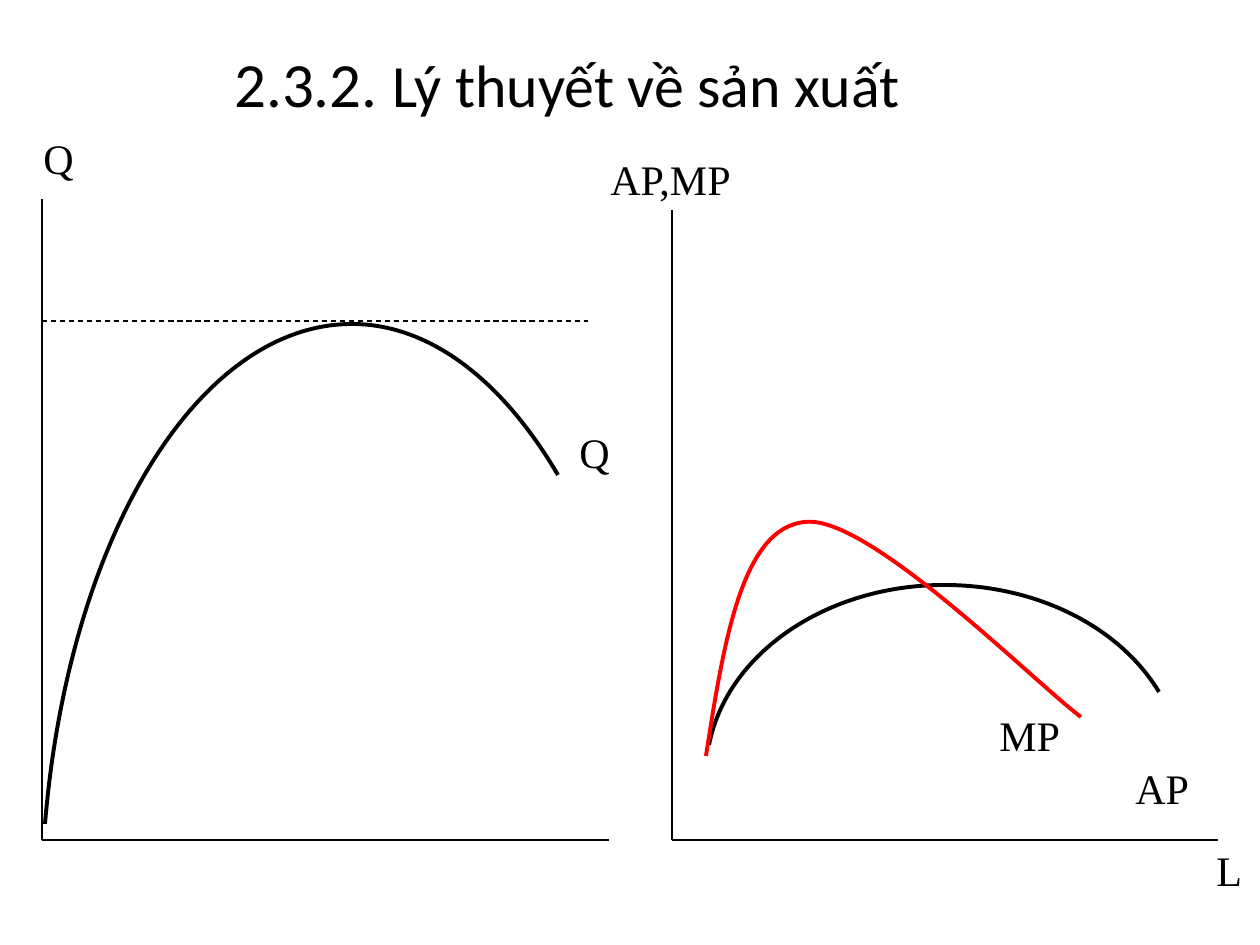
from pptx import Presentation
from pptx.dml.color import RGBColor
from pptx.enum.dml import MSO_LINE_DASH_STYLE as Dash
from pptx.enum.shapes import MSO_CONNECTOR as Connector
from pptx.enum.text import MSO_ANCHOR as Anchor, PP_ALIGN as Align
from pptx.oxml.ns import qn
from pptx.util import Emu, Pt
from lxml.etree import SubElement

SCALE = 914400 / 126


def px(length):
    return Emu(round(length * SCALE))


def color(hex_value):
    return RGBColor.from_string(hex_value)


prs = Presentation()
prs.slide_width, prs.slide_height = px(1260), px(945)
slide = prs.slides.add_slide(prs.slide_layouts[5])

# Title
title = slide.shapes.title
title.left, title.top, title.width, title.height = px(0), px(38), px(1134), px(88)
title.text_frame.vertical_anchor = Anchor.MIDDLE
heading = title.text_frame.paragraphs[0]
heading.alignment = Align.CENTER
heading.font.name = "Calibri"
heading.font.color.rgb = color("000000")
for text, size in (("2.3.2. ", 36), ("Lý thuyết về sản xuất", 34.2)):
    run = heading.add_run()
    run.text = text
    run.font.size = Pt(size)

# The loose labels lie on the slide, the two charts are groups
page = slide.shapes
output_chart = page.add_group_shape().shapes
product_chart = page.add_group_shape().shapes

# Axes of both charts and the dashed line at maximum output
for chart, x1, y1, x2, y2, dash in (
    (output_chart, 42, 199, 42, 840, None),
    (output_chart, 42, 840, 609, 840, None),
    (output_chart, 42, 321, 588, 321, Dash.DASH),
    (product_chart, 672, 210, 672, 840, None),
    (product_chart, 672, 840, 1218, 840, None),
):
    axis = chart.add_connector(Connector.STRAIGHT, px(x1), px(y1), px(x2), px(y2))
    axis.line.color.rgb = color("000000")
    axis.line.width = Pt(0.75)
    axis.line.dash_style = dash
    SubElement(axis._element.spPr, qn("a:effectLst"))

# Curves: a start point, then two control points and an end point per segment;
# the centre of an arc belongs to its frame but is not drawn
output_curve = [(45, 824), (69, 535), (199, 324), (352, 324),
                (428, 324), (501, 378), (558, 475)]
average_curve = [(709, 745), (727, 653), (827, 585), (944, 585),
                 (1036, 585), (1119, 626), (1159, 692)]
marginal_curve = [(706, 756), (724, 641), (742, 528), (805, 522),
                  (868, 514), (1036, 684), (1081, 717)]
for chart, knots, centre, ink in (
    (output_chart, output_curve, (352, 913), "000000"),
    (product_chart, average_curve, (944, 774), "000000"),
    (product_chart, marginal_curve, None, "FF0000"),
):
    builder = chart.build_freeform(*knots[0], scale=SCALE)
    builder.add_line_segments(knots[1:], close=False)
    if centre:
        builder.move_to(*centre)
    curve = builder.convert_to_shape()
    curve.shadow.inherit = False
    curve.fill.background()
    curve.line.color.rgb = color(ink)
    curve.line.width = Pt(2.25)
    # Turn every three straight pieces into one Bézier segment
    pieces = list(curve._element.iter(qn("a:lnTo")))
    for first in range(0, len(pieces), 3):
        bezier = pieces[0].makeelement(qn("a:cubicBezTo"))
        pieces[first].addprevious(bezier)
        for piece in pieces[first:first + 3]:
            bezier.append(piece[0])
            piece.getparent().remove(piece)

# Axis and curve labels
for place, text, x, y, width in (
    (page, "Q", 31, 126, 63),
    (page, "L", 1204, 838, 63),
    (page, "MP", 987, 703, 105),
    (output_chart, "Q", 567, 420, 63),
    (product_chart, "AP", 1123, 756, 116),
    (product_chart, "AP,MP", 598, 147, 168),
):
    label = place.add_textbox(px(x), px(y), px(width), px(63)).text_frame
    label.word_wrap = True
    label.text = text
    line = label.paragraphs[0]
    line.space_before = Pt(2.4)
    line.font.name = "Times New Roman"
    line.font.size = Pt(24)
    line.font.color.rgb = color("000000")

prs.save("out.pptx")
